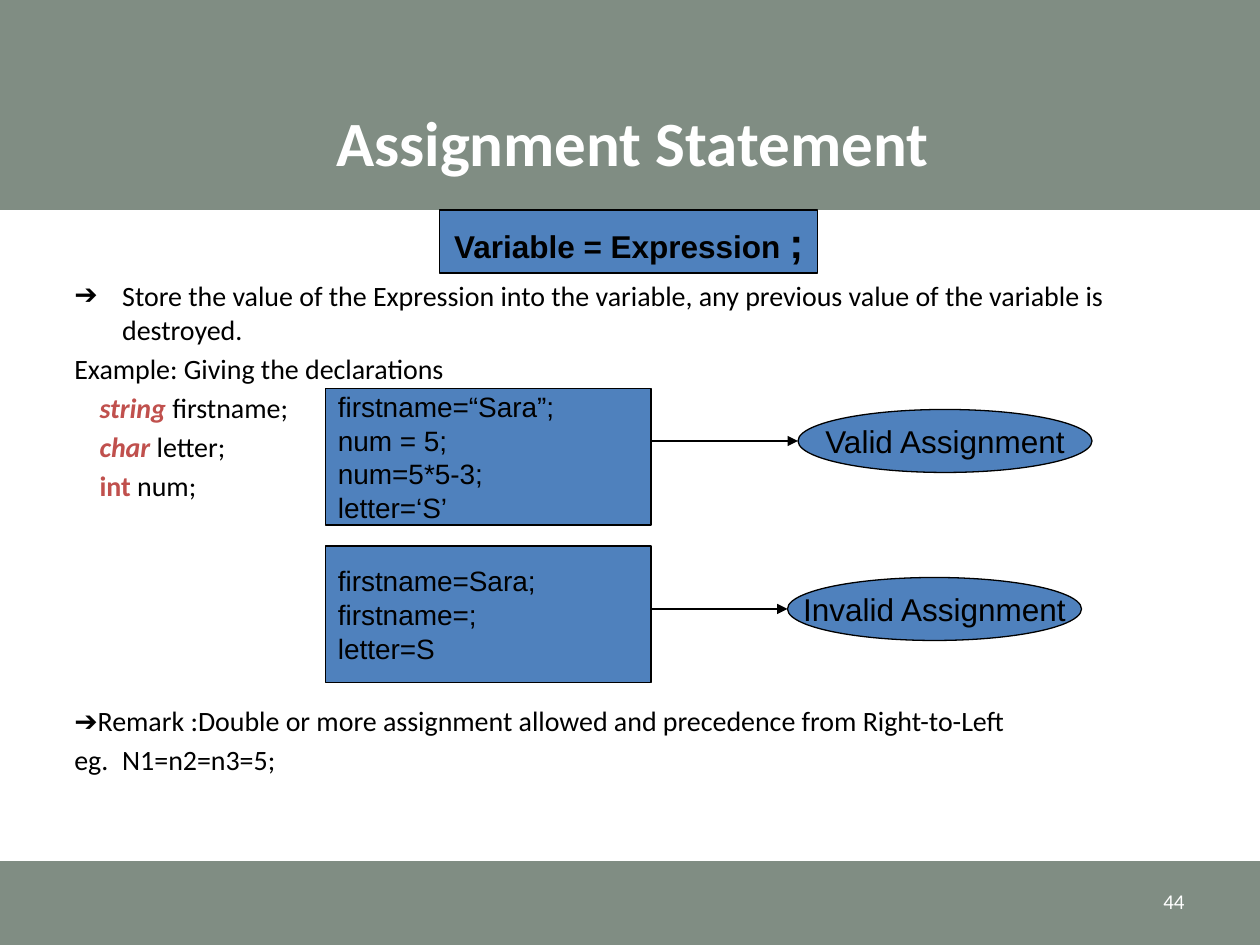
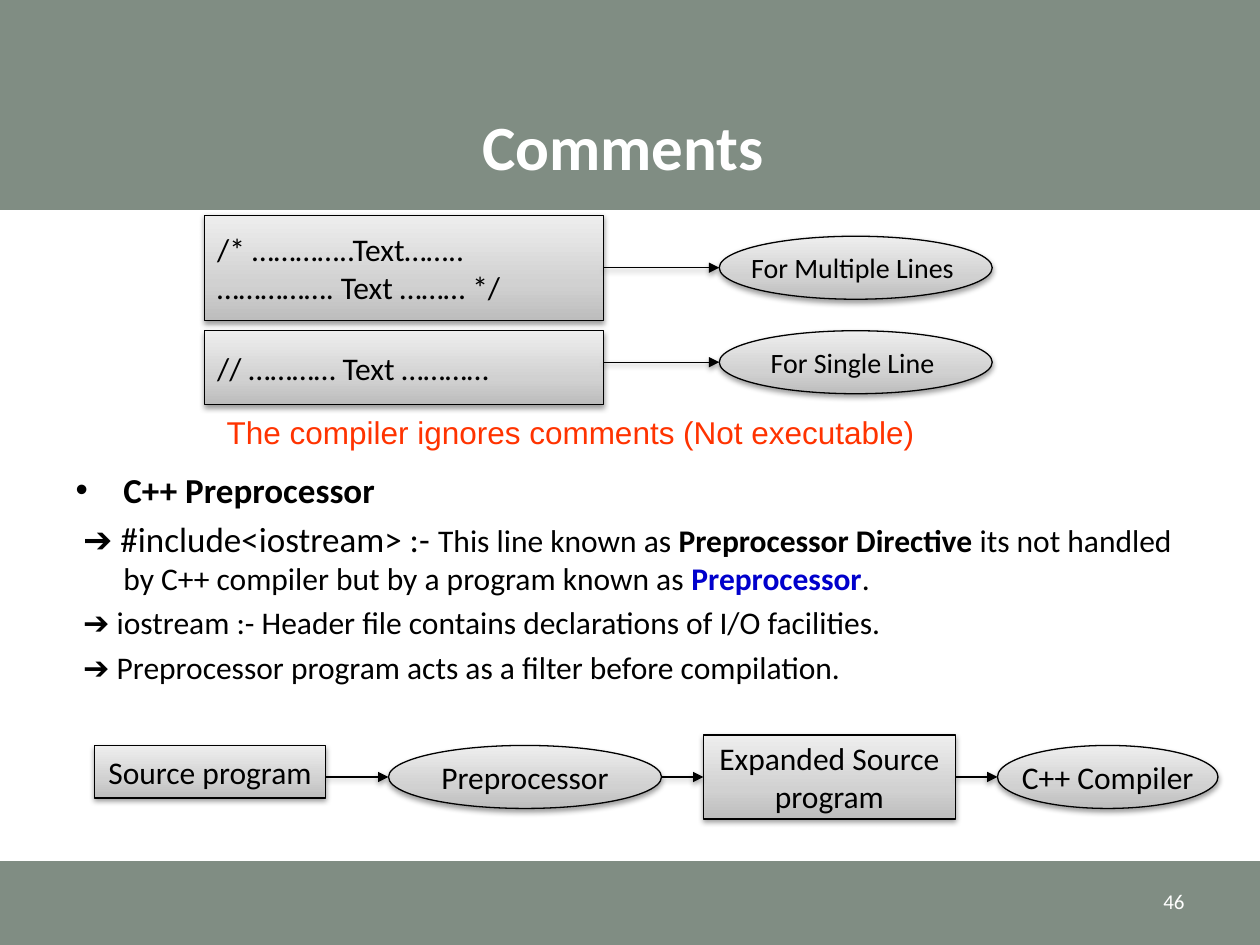
from copy import deepcopy
from dataclasses import dataclass

from lxml.etree import SubElement
from pptx import Presentation
from pptx.dml.color import RGBColor
from pptx.enum.shapes import MSO_CONNECTOR, MSO_SHAPE
from pptx.enum.text import MSO_ANCHOR, MSO_AUTO_SIZE, PP_ALIGN
from pptx.oxml.ns import qn
from pptx.util import Inches, Pt

SAGE = RGBColor(0x80, 0x8D, 0x83)
BLUE = RGBColor(0x4F, 0x81, 0xBD)
NAVY = RGBColor(0x00, 0x00, 0xCC)
BRICK = RGBColor(0xC0, 0x50, 0x4D)
ORANGE = RGBColor(0xFF, 0x33, 0x00)
BLACK = RGBColor(0x00, 0x00, 0x00)
WHITE = RGBColor(0xFF, 0xFF, 0xFF)
GRAY_STOPS = [
    (0, RGBColor(0xBD, 0xBD, 0xBD)),
    (0.35, RGBColor(0xD1, 0xD1, 0xD1)),
    (1, RGBColor(0xEE, 0xEE, 0xEE)),
]

SLIDE_WIDTH, SLIDE_HEIGHT = Inches(10), Inches(7.5)
CELL = SLIDE_WIDTH / 120  # the slide is 120 columns by 90 rows
HANGING = 0.38
RECTANGLE, OVAL = MSO_SHAPE.RECTANGLE, MSO_SHAPE.OVAL
LEFT_SIDE, RIGHT_SIDE = 1, 3

BOLD = {"bold": True}
KEYWORD = {"bold": True, "italic": True, "color": BRICK}


@dataclass
class Box:
    """A region in grid columns and rows."""
    left: float
    top: float
    width: float
    height: float

    def inner(self, left, top, width, height):
        return Box(self.left + left, self.top + top, width, height)

    def lengths(self):
        return [round(cells * CELL) for cells in
                (self.left, self.top, self.width, self.height)]


@dataclass
class Style:
    font: str
    glossy: bool


def format_font(font, values):
    for name, value in values.items():
        if name == "color":
            font.color.rgb = value
        else:
            setattr(font, name, value)


def write_spans(para, spans, base):
    """Fill a paragraph from plain strings and (string, format) pairs."""
    for span in spans:
        text, changes = (span, {}) if isinstance(span, str) else span
        run = para.add_run()
        run.text = text
        format_font(run.font, {**base, **changes})


def write_lines(shape, lines, base, align=PP_ALIGN.LEFT, wrap=False):
    frame = shape.text_frame
    frame.word_wrap = wrap
    frame.vertical_anchor = MSO_ANCHOR.MIDDLE
    for index, spans in enumerate(lines):
        para = frame.add_paragraph() if index else frame.paragraphs[0]
        para.alignment = align
        write_spans(para, [spans] if isinstance(spans, str) else spans, base)


def set_shadow(shape, visible):
    """Replace the theme's shadow; call after fill and line are set."""
    effects = SubElement(shape.element.spPr, qn("a:effectLst"))
    if visible:
        shadow = SubElement(effects, qn("a:outerShdw"), blurRad="40000",
                            dist="20000", dir="5400000", rotWithShape="0")
        color = SubElement(shadow, qn("a:srgbClr"), val=str(BLACK))
        SubElement(color, qn("a:alpha"), val="38000")


def fill_gray_gradient(shape):
    shape.fill.gradient()
    shape.fill.gradient_angle = 90
    stop_list = next(shape.element.spPr.iter(qn("a:gsLst")))
    stop_list.insert(1, deepcopy(stop_list[0]))
    for stop, (position, color) in zip(shape.fill.gradient_stops, GRAY_STOPS):
        stop.position = position
        stop.color.rgb = color


def set_outline(line):
    line.color.rgb = BLACK
    line.width = Pt(0.75)


def add_node(page, kind, box, lines, size, style, align=PP_ALIGN.CENTER):
    node = page.shapes.add_shape(kind, *box.lengths())
    if style.glossy:
        fill_gray_gradient(node)
    else:
        node.fill.solid()
        node.fill.fore_color.rgb = BLUE
    set_outline(node.line)
    set_shadow(node, style.glossy)
    base = {"name": style.font, "size": Pt(size), "color": BLACK}
    write_lines(node, lines, base, align)
    return node


def add_arrow(page, start, end, style):
    """Point from start to end at the height of whichever one is an oval."""
    oval = start if start.auto_shape_type == OVAL else end
    height = oval.top + oval.height // 2
    arrow = page.shapes.add_connector(
        MSO_CONNECTOR.STRAIGHT, start.left + start.width, height, end.left, height)
    joins = [(start, arrow.begin_connect, RIGHT_SIDE),
             (end, arrow.end_connect, LEFT_SIDE)]
    for node, connect, side in joins:
        offset = abs(node.top + node.height // 2 - height)
        if node.auto_shape_type == RECTANGLE and offset < Pt(0.5):
            connect(node, side)
    set_outline(arrow.line)
    SubElement(arrow.element.spPr.find(qn("a:ln")), qn("a:tailEnd"), type="triangle")
    set_shadow(arrow, style.glossy)


def add_text(page, box, text, values, align=PP_ALIGN.LEFT, wrap=False):
    label = page.shapes.add_textbox(*box.lengths())
    write_lines(label, [text], values, align, wrap)


def place(shape, box):
    shape.left, shape.top, shape.width, shape.height = box.lengths()


def add_page(deck, title, title_box, number):
    page = deck.slides.add_slide(deck.slide_layouts[1])
    heading = page.shapes.title
    place(heading, title_box)
    write_lines(heading, [title], {"name": "Calibri", "size": Pt(36), "bold": True,
                                   "color": WHITE}, PP_ALIGN.CENTER, wrap=True)
    add_text(page, Box(86, 83.4, 28, 4.8), number,
             {"name": "Calibri", "size": Pt(12), "color": WHITE},
             PP_ALIGN.RIGHT, wrap=True)
    return page


def fill_body(page, box, items, size):
    """Each item is (bullet or None, left margin, first indent, gap, spans)."""
    body = page.placeholders[1]
    place(body, box)
    frame = body.text_frame
    frame.auto_size = MSO_AUTO_SIZE.NONE
    base = {"name": "Calibri", "size": Pt(size), "color": BLACK}
    for index, (bullet, margin, indent, gap, spans) in enumerate(items):
        para = frame.add_paragraph() if index else frame.paragraphs[0]
        properties = para._p.get_or_add_pPr()
        properties.set("marL", str(Inches(margin)))
        properties.set("indent", str(Inches(indent)))
        if bullet:
            SubElement(properties, qn("a:buChar"), char=bullet)
        else:
            SubElement(properties, qn("a:buNone"))
        if gap is not None:
            para.space_before = Pt(gap)
        write_spans(para, spans, base)


def add_bands(deck, page):
    """Put the top and bottom bands on the master, behind everything."""
    tree = deck.slide_master.shapes.element
    for box in (Box(0, 0, 120, 20), Box(0, 82, 120, 8)):
        band = page.shapes.add_shape(RECTANGLE, *box.lengths())
        band.fill.solid()
        band.fill.fore_color.rgb = SAGE
        band.line.fill.background()
        set_shadow(band, False)
        tree.insert(2, band.element)


def add_explained_code(page, area, rows, code_size, label_size, style):
    """Draw code boxes, each with an arrow to the oval that explains it."""
    for code_cells, code, oval_cells, label in rows:
        box = add_node(page, RECTANGLE, area.inner(*code_cells), code,
                       code_size, style, PP_ALIGN.LEFT)
        oval = add_node(page, OVAL, area.inner(*oval_cells), [label],
                        label_size, style)
        add_arrow(page, box, oval, style)


def add_compile_flow(page, area, style):
    steps = [
        (RECTANGLE, (0, 1, 22, 5), ["Source program"]),
        (OVAL, (28, 1, 26, 6), ["Preprocessor"]),
        (RECTANGLE, (58, 0, 24, 8), ["Expanded Source", "program"]),
        (OVAL, (86, 1, 21, 6), ["C++ Compiler"]),
    ]
    nodes = [add_node(page, kind, area.inner(*cells), lines, 18, style)
             for kind, cells, lines in steps]
    for start, end in zip(nodes, nodes[1:]):
        add_arrow(page, start, end, style)


def build_assignment_page(deck):
    page = add_page(deck, "Assignment Statement", Box(6.24, 8.28, 108, 10.44), "44")
    style = Style("Arial", glossy=False)
    declarations = [
        [("string ", KEYWORD), "firstname;"],
        [("char", KEYWORD), " letter;"],
        [("int ", {"bold": True, "color": BRICK}), "num;"],
    ]
    fill_body(page, Box(5.88, 25.92, 108, 51.36), [
        ("➔", HANGING, -HANGING, 0,
         ["Store the value of the Expression into the variable, "
          "any previous value of the variable is destroyed."]),
        (None, HANGING, -HANGING, None, ["Example: Giving the declarations"]),
        *[(None, 0.2, 0, None, spans) for spans in declarations],
        (None, HANGING, -HANGING, 115,
         ["➔Remark :Double or more assignment allowed "
          "and precedence from Right-to-Left"]),
        (None, HANGING, -HANGING, None, ["eg.\tN1=n2=n3=5;"]),
    ], 16)
    add_node(page, RECTANGLE, Box(41.88, 20, 36, 6),
             [[("Variable = Expression ", BOLD),
               (";", {"bold": True, "size": Pt(24)})]], 18, style)
    add_explained_code(page, Box(31, 37, 73, 28), [
        ((0, 0, 31, 13),
         ["firstname=“Sara”;", "num = 5;", "num=5*5-3;", "letter=‘S’"],
         (45, 2, 28, 6), "Valid Assignment"),
        ((0, 15, 31, 13), ["firstname=Sara;", "firstname=;", "letter=S"],
         (44, 18, 28, 6), "Invalid Assignment"),
    ], 16, 18, style)
    return page


def build_comments_page(deck):
    page = add_page(deck, "Comments ", Box(6, 8.16, 108, 11.4), "46")
    style = Style("Calibri", glossy=True)
    large = {"size": Pt(20)}
    fill_body(page, Box(6, 44, 108, 24), [
        ("•", HANGING, -HANGING, 0, [("C++ Preprocessor", {**large, **BOLD})]),
        (None, HANGING, -0.32, None,
         [("➔ #include<iostream> :- ", large), "This line known as ",
          ("Preprocessor Directive", BOLD),
          " its not handled by C++ compiler but by a program known as ",
          ("Preprocessor", {"bold": True, "color": NAVY}), "."]),
        (None, HANGING, -0.32, None,
         ["➔ iostream :- Header file contains declarations of I/O facilities."]),
        (None, HANGING, -0.32, None,
         ["➔ Preprocessor program acts as a filter before compilation."]),
    ], 18)
    add_explained_code(page, Box(19.5, 20.5, 75, 18), [
        ((0, 0, 38, 10), ["/* …………..Text……..", "……………. Text ……… */"],
         (49, 2, 26, 6), "For Multiple Lines "),
        ((0, 11, 38, 7), ["// ………… Text …………"],
         (49, 11, 26, 6), "For Single Line "),
    ], 18, 16, style)
    add_text(page, Box(20.4, 38.6, 74, 5),
             "The compiler ignores comments (Not executable)",
             {"name": "Arial", "size": Pt(18), "color": ORANGE})
    add_compile_flow(page, Box(9, 70, 107, 8), style)


def main():
    deck = Presentation()
    deck.slide_width, deck.slide_height = SLIDE_WIDTH, SLIDE_HEIGHT
    first_page = build_assignment_page(deck)
    add_bands(deck, first_page)
    build_comments_page(deck)
    deck.save("out.pptx")


if __name__ == "__main__":
    main()
